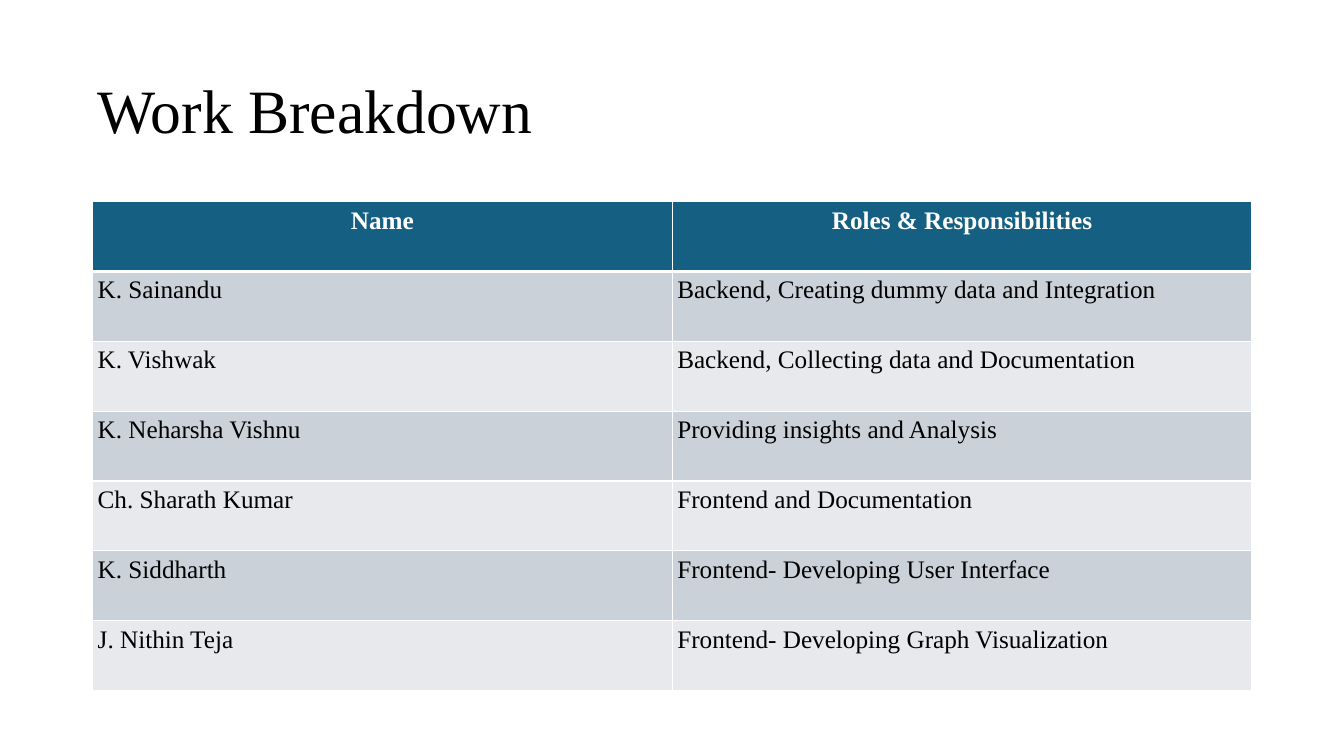
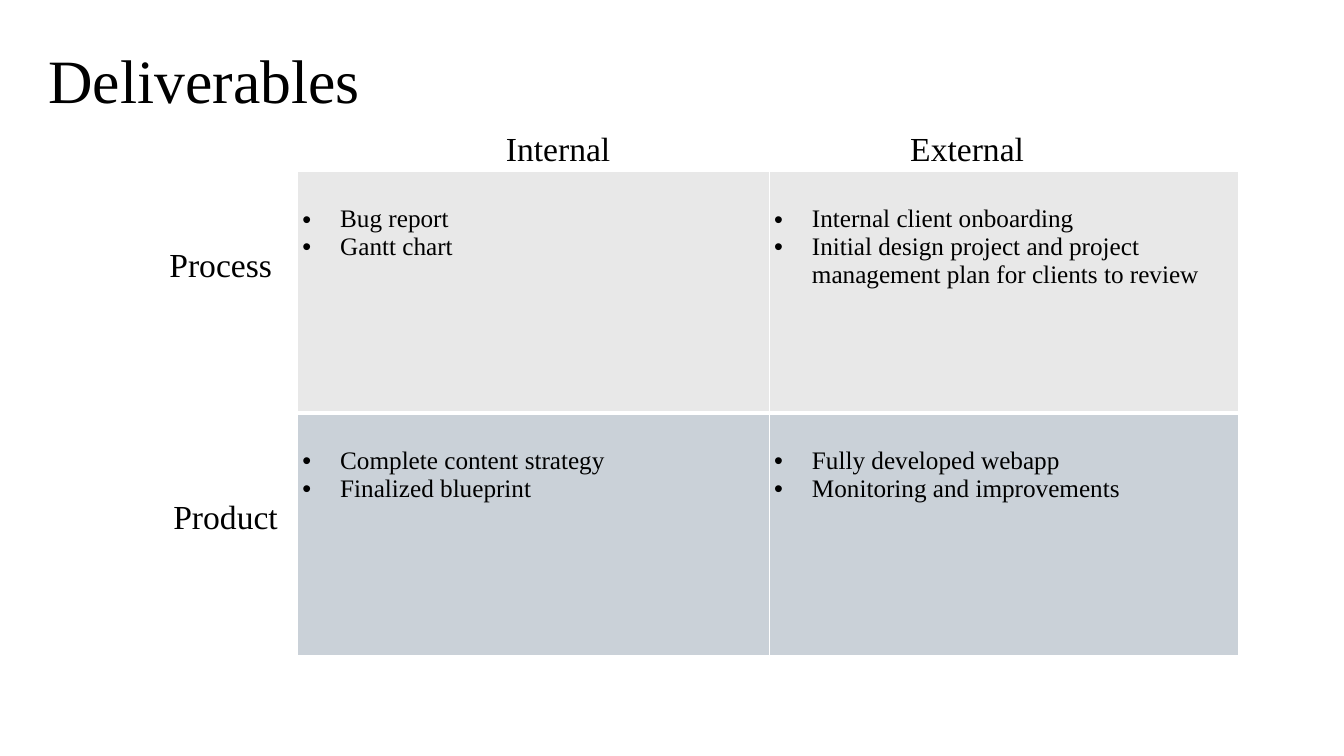
from lxml.etree import SubElement
from pptx import Presentation
from pptx.dml.color import RGBColor
from pptx.enum.text import MSO_ANCHOR, MSO_AUTO_SIZE, PP_ALIGN
from pptx.oxml.ns import qn
from pptx.util import Pt

FONT = "Times New Roman"
COLORS = {
    "text": "000000",
    "white": "FFFFFF",
    "header": "156082",
    "band_dark": "CAD1D8",
    "band_light": "E7E9EC",
    "gray": "E8E8E8",
}
INSET = 3.6
TITLE_W, TITLE_H = 828, 104.4


def color(name):
    return RGBColor.from_string(COLORS[name])


class Deck:
    """Holds the style and the current slide."""

    def __init__(self):
        self.prs = Presentation()
        self.prs.slide_width, self.prs.slide_height = Pt(960), Pt(540)
        self.s = None

    def style(self, p, size, fill="text", bold=False, align=PP_ALIGN.LEFT):
        p.alignment = align
        for r in p.runs:
            r.font.name, r.font.size, r.font.bold = FONT, Pt(size), bold
            r.font.color.rgb = color(fill)

    def inset(self, box, top=INSET):
        box.margin_left = box.margin_right = box.margin_bottom = Pt(INSET)
        box.margin_top = Pt(top)

    def slide(self, title, left, top):
        self.s = self.prs.slides.add_slide(self.prs.slide_layouts[5])
        sp = self.s.shapes.title
        sp.left, sp.top, sp.width, sp.height = Pt(left), Pt(top), Pt(TITLE_W), Pt(TITLE_H)
        tf = sp.text_frame
        tf.text = title
        tf.auto_size = MSO_AUTO_SIZE.NONE
        tf.vertical_anchor = MSO_ANCHOR.MIDDLE
        self.inset(tf)
        tf.paragraphs[0].line_spacing = 0.9
        self.style(tf.paragraphs[0], 44)

    def label(self, text, left, top, width, wrap=False):
        tf = self.s.shapes.add_textbox(Pt(left), Pt(top), Pt(width), Pt(33.2)).text_frame
        tf.text = text
        tf.word_wrap = wrap
        tf.auto_size = MSO_AUTO_SIZE.SHAPE_TO_FIT_TEXT
        self.inset(tf)
        self.style(tf.paragraphs[0], 24)

    def table(self, left, top, col_widths, row_height, n_rows):
        frame = self.s.shapes.add_table(
            n_rows, len(col_widths), Pt(left), Pt(top),
            Pt(sum(col_widths)), Pt(row_height * n_rows))
        table = frame.table
        table.first_row = table.horz_banding = False
        for column, width in zip(table.columns, col_widths):
            column.width = Pt(width)
        for row in table.rows:
            row.height = Pt(row_height)
        return table

    def borders(self, cell, row):
        # The edge below the first row is heavier than the others
        widths = {"L": 1, "R": 1, "T": 3 if row == 1 else 1, "B": 3 if row == 0 else 1}
        tcPr = cell._tc.get_or_add_tcPr()
        for side, width in widths.items():
            ln = SubElement(tcPr, qn(f"a:ln{side}"), w=str(Pt(width)))
            fill = SubElement(ln, qn("a:solidFill"))
            SubElement(fill, qn("a:srgbClr"), val=COLORS["white"])

    def cell(self, table, row, col, text, fill, top=INSET, **text_style):
        cell = table.cell(row, col)
        self.inset(cell, top)
        self.borders(cell, row)
        cell.fill.solid()
        cell.fill.fore_color.rgb = color(fill)
        cell.text_frame.text = text
        for p in cell.text_frame.paragraphs:
            self.style(p, 18, **text_style)
        return cell

    def bullets(self, cell, indent=27):
        for p in cell.text_frame.paragraphs:
            pPr = p._p.get_or_add_pPr()
            pPr.set("marL", str(Pt(indent)))
            pPr.set("indent", str(Pt(-indent)))
            SubElement(pPr, qn("a:buFont"), typeface="Arial")
            SubElement(pPr, qn("a:buChar"), char="•")


def work_breakdown(deck):
    deck.slide("Work Breakdown", 66.2, 28.8)
    rows = [
        ("Name", "Roles & Responsibilities"),
        ("K. Sainandu", "Backend, Creating dummy data and Integration"),
        ("K. Vishwak", "Backend, Collecting data and Documentation"),
        ("K. Neharsha Vishnu", "Providing insights and Analysis"),
        ("Ch. Sharath Kumar", "Frontend and Documentation"),
        ("K. Siddharth", "Frontend- Developing User Interface"),
        ("J. Nithin Teja", "Frontend- Developing Graph Visualization"),
    ]
    table = deck.table(66.2, 144, [414, 414], 49.9, len(rows))
    header_style = {"fill": "white", "bold": True, "align": PP_ALIGN.CENTER}
    for i, row in enumerate(rows):
        band = "header" if i == 0 else "band_dark" if i % 2 else "band_light"
        for j, text in enumerate(row):
            cell = deck.cell(table, i, j, text, band)
            if i == 0:
                deck.style(cell.text_frame.paragraphs[0], 18, **header_style)


def deliverables(deck):
    deck.slide("Deliverables", 31, 7.2)

    # Matrix of bulleted lists
    matrix = [
        ("gray", [
            ["Bug report", "Gantt chart"],
            ["Internal client onboarding",
             "Initial design project and project management plan for clients to review"],
        ]),
        ("band_dark", [
            ["Complete content strategy", "Finalized blueprint"],
            ["Fully developed webapp", "Monitoring and improvements"],
        ]),
    ]
    table = deck.table(212.4, 122.4, [337, 335.5], 172.8, len(matrix))
    for i, (band, lists) in enumerate(matrix):
        for j, items in enumerate(lists):
            deck.bullets(deck.cell(table, i, j, "\n".join(items), band, top=24.3))

    # Column and row headings
    deck.label("Internal", 357.8, 87.8, 117.4, wrap=True)
    deck.label("External", 646.6, 87.8, 89.3)
    deck.label("Process", 117.4, 170.6, 81.4)
    deck.label("Product", 120.2, 350.6, 82.8)


def main():
    deck = Deck()
    work_breakdown(deck)
    deliverables(deck)
    deck.prs.save("out.pptx")


if __name__ == "__main__":
    main()
